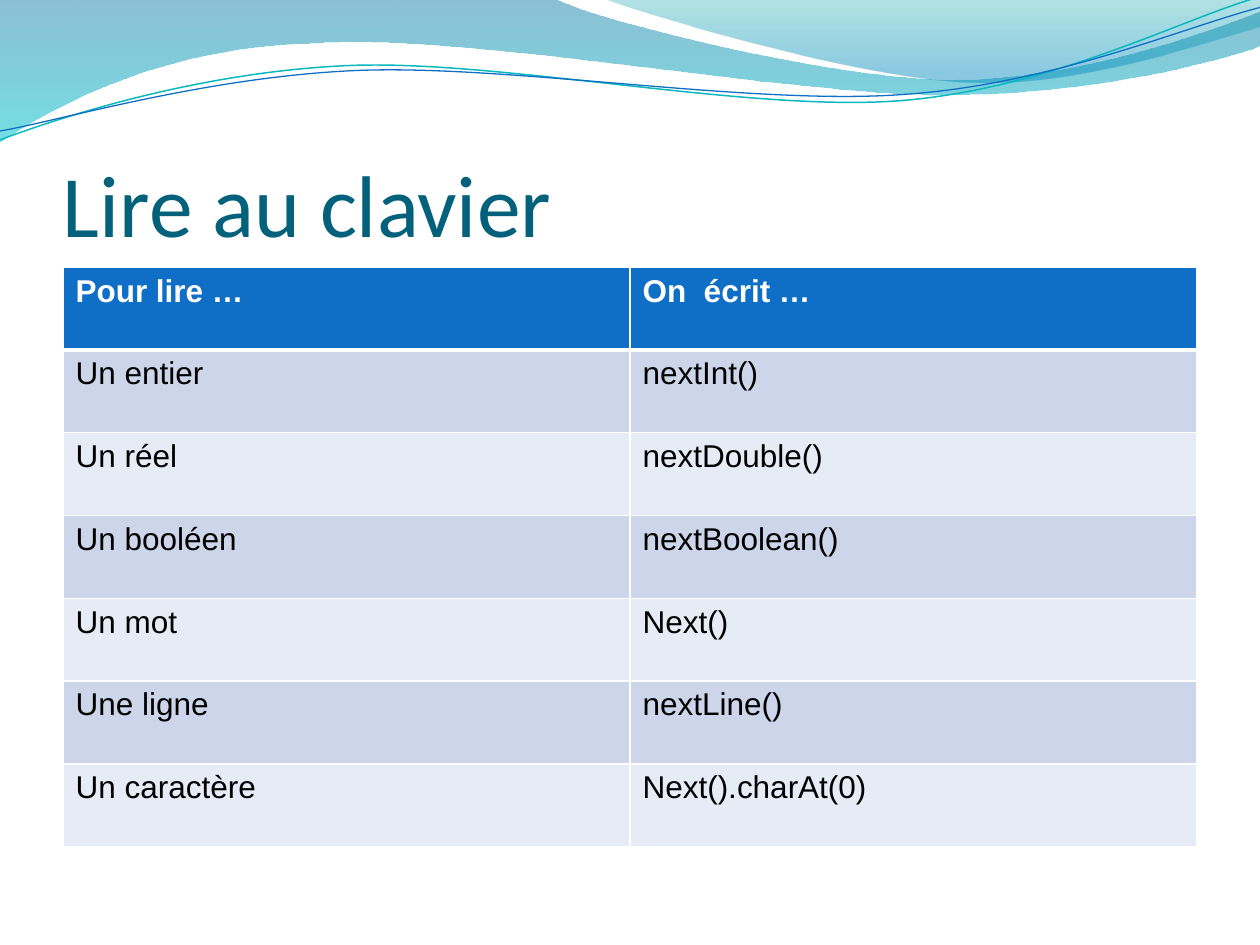
import math

from lxml import etree
from pptx import Presentation
from pptx import util as u
from pptx.dml.color import RGBColor
from pptx.enum import text
from pptx.oxml.ns import qn

HUES = {
    "deep": "0074A1", "cyan": "00C6CF", "teal": "00A1A9", "sky": "008BBF",
    "aqua": "0AB8BF", "blue": "0F6FC6", "title": "04617B",
    "white": "FFFFFF", "black": "000000", "dark": "CCD5EA", "light": "E7EBF5",
}

WAVES = [
    ([
        [(0, 0)],
        [(4.4, -0.01)],
        [(4.76, 0.17), (6.64, 0.63), (7.58, 0.63)],
        [(8.53, 0.63), (9.58, 0.26), (10, 0.09)],
        [(10.01, 0.36)],
        [(9.83, 0.44), (8.7, 0.76), (7.46, 0.75)],
        [(6.22, 0.75), (3.82, 0.28), (2.57, 0.34)],
        [(1.29, 0.36), (0.46, 0.83), (-0.01, 1.13)],
        [(0, 0)],
    ], [(0, "deep", 45), (1, "cyan", 55)]),
    ([
        [(4.79, -0.01)],
        [(5.09, 0.11), (6.82, 0.62), (7.69, 0.65)],
        [(8.56, 0.69), (9.61, 0.32), (10, 0.21)],
        [(10, 0)],
        [(4.79, -0.01)],
    ], [(0, "teal", 30), (0.8, "sky", 45)]),
]

CURLS = [
    ([
        [(0, 1.11)],
        [(0.48, 0.93), (1.58, 0.57), (2.77, 0.52)],
        [(3.95, 0.47), (5.93, 0.89), (7.13, 0.8)],
        [(8.33, 0.71), (9.38, 0.15), (9.98, -0.02)],
    ], (4.99, 0.58), "aqua", 0.85),
    ([
        [(0, 1.04)],
        [(0.47, 0.96), (1.64, 0.61), (2.83, 0.56)],
        [(4.03, 0.51), (5.97, 0.84), (7.17, 0.75)],
        [(8.36, 0.67), (9.41, 0.21), (10, 0.06)],
    ], (5, 0.59), "blue", 0.75),
]
TILT = 357.3

ROWS = [
    ("Pour lire …", "On  écrit …"),
    ("Un entier", "nextInt()"),
    ("Un réel", "nextDouble()"),
    ("Un booléen", "nextBoolean()"),
    ("Un mot", "Next()"),
    ("Une ligne", "nextLine()"),
    ("Un caractère", "Next().charAt(0)"),
]


def hue(name):
    return RGBColor.from_string(HUES[name])


def level(point, mid):
    angle = math.radians(360 - TILT)
    x, y = point[0] - mid[0], point[1] - mid[1]
    return (mid[0] + x * math.cos(angle) - y * math.sin(angle),
            mid[1] + x * math.sin(angle) + y * math.cos(angle))


def outline(slide, left, top, legs, close):
    spots = [(u.Inches(left + x), u.Inches(top + y)) for leg in legs for x, y in leg]
    pen = slide.shapes.build_freeform(*spots[0])
    pen.add_line_segments(spots[1:], close=close)
    shape = pen.convert_to_shape()
    shape.shadow.inherit = False
    lines = iter(list(shape.element.spPr.iter(qn("a:lnTo"))))
    for leg in legs[1:]:
        first, *rest = [next(lines) for _ in leg]
        if rest:
            first.tag = qn("a:cubicBezTo")
        for line in rest:
            first.append(line[0])
            line.getparent().remove(line)
    return shape


def add_waves(slide, left, top):
    for legs, stops in WAVES:
        shape = outline(slide, left, top, legs, True)
        shape.line.fill.background()
        shape.fill.gradient()
        shape.fill.gradient_angle = 270
        for stop, (place, name, alpha) in zip(shape.fill.gradient_stops, stops):
            stop.position = place
            stop.color.rgb = hue(name)
        tints = shape.element.spPr.iter(qn("a:srgbClr"))
        for tint, (place, name, alpha) in zip(tints, stops):
            etree.SubElement(tint, qn("a:alpha"), val=str(alpha * 1000))
    for legs, mid, name, width in CURLS:
        flat = [[level(point, mid) for point in leg] for leg in legs]
        shape = outline(slide, left, top, flat, False)
        shape.rotation = TILT
        shape.fill.background()
        shape.line.color.rgb = hue(name)
        shape.line.width = u.Pt(width)


def add_run(para, words, font, size, name, bold=False):
    run = para.add_run()
    run.text = words
    run.font.name = font
    run.font.size = u.Pt(size)
    run.font.bold = bold
    run.font.color.rgb = hue(name)


def add_title(slide, left, top, width, height):
    box = slide.shapes.add_textbox(*map(u.Inches, (left, top, width, height)))
    frame = box.text_frame
    frame.word_wrap = True
    frame.vertical_anchor = text.MSO_ANCHOR.BOTTOM
    frame.margin_left = frame.margin_right = frame.margin_bottom = 0
    frame.margin_top = u.Inches(0.05)
    add_run(frame.paragraphs[0], "Lire au clavier", "Calibri", 50, "title")


def add_edges(cell, widths):
    props = cell._tc.get_or_add_tcPr()
    for side, width in zip("LRTB", widths):
        edge = etree.SubElement(props, qn("a:ln" + side), w=str(u.Pt(width)))
        fill = etree.SubElement(edge, qn("a:solidFill"))
        etree.SubElement(fill, qn("a:srgbClr"), val=HUES["white"])


def add_grid(slide, left, top, width, height):
    box = map(u.Inches, (left, top, width, height))
    table = slide.shapes.add_table(len(ROWS), len(ROWS[0]), *box).table
    for r, row in enumerate(ROWS):
        head = r == 0
        fill = "blue" if head else "dark" if r % 2 else "light"
        for c, words in enumerate(row):
            cell = table.cell(r, c)
            add_edges(cell, (1, 1, 3 if r == 1 else 1, 3 if head else 1))
            cell.fill.solid()
            cell.fill.fore_color.rgb = hue(fill)
            para = cell.text_frame.paragraphs[0]
            add_run(para, words, "Arial", 18, "white" if head else "black", head)


def main():
    deck = Presentation()
    deck.slide_width, deck.slide_height = u.Inches(10), u.Inches(7.5)
    slide = deck.slides.add_slide(deck.slide_layouts[6])
    add_waves(slide, 0, 0)
    add_title(slide, 0.5, 0.77, 9, 1.25)
    add_grid(slide, 0.5, 2.12, 9, 4.6)
    deck.save("out.pptx")


if __name__ == "__main__":
    main()
